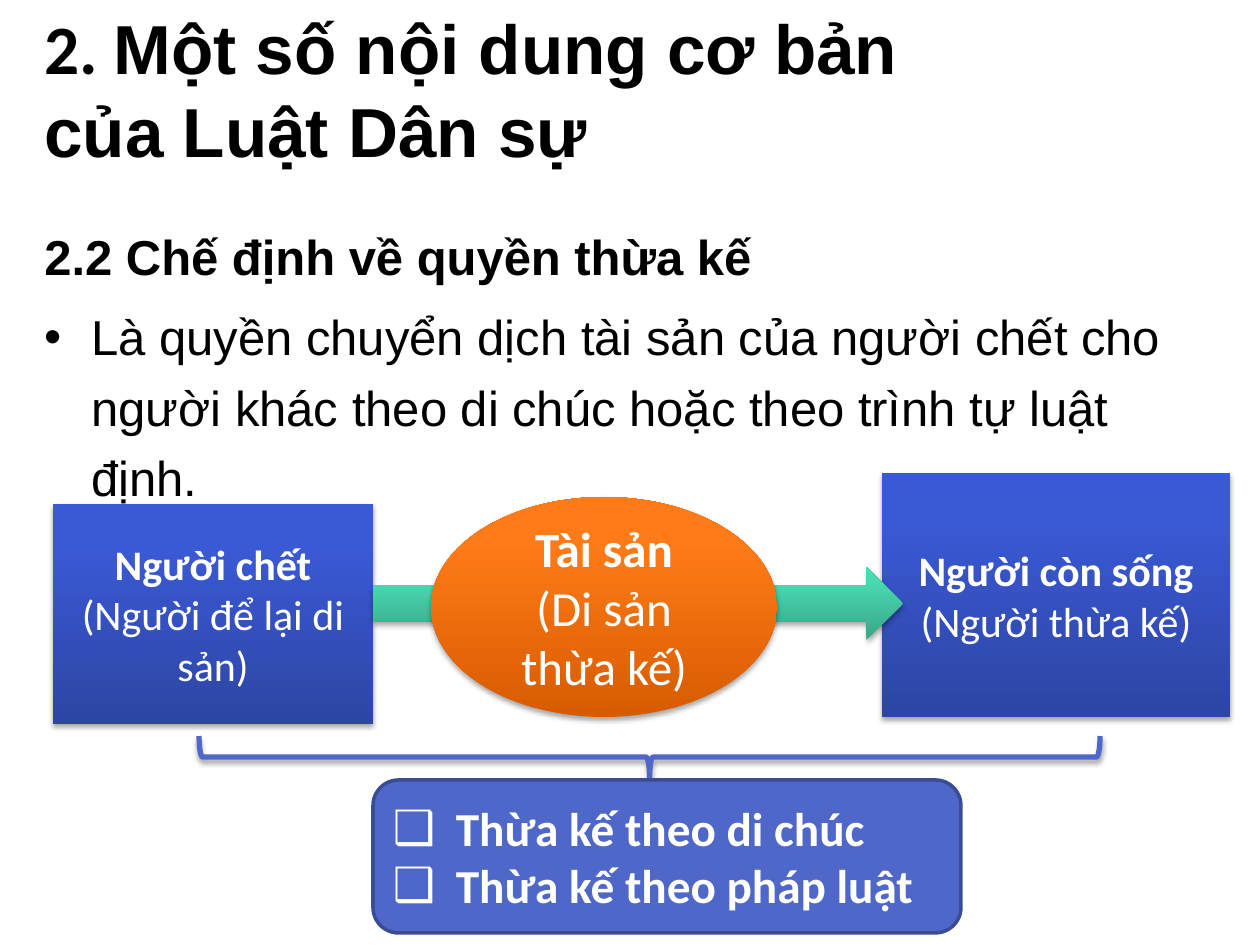
from copy import deepcopy

from lxml import etree
from pptx import Presentation
from pptx.dml.color import RGBColor
from pptx.enum.shapes import MSO_SHAPE
from pptx.enum.text import MSO_ANCHOR, PP_ALIGN
from pptx.oxml.ns import qn
from pptx.util import Pt

RECTANGLE = MSO_SHAPE.RECTANGLE
ELLIPSE = MSO_SHAPE.OVAL
ARROW = MSO_SHAPE.RIGHT_ARROW
BRACE = MSO_SHAPE.RIGHT_BRACE
ROUNDED = MSO_SHAPE.ROUNDED_RECTANGLE
TOP, MIDDLE = MSO_ANCHOR.TOP, MSO_ANCHOR.MIDDLE
LEFT, CENTER, JUSTIFY = PP_ALIGN.LEFT, PP_ALIGN.CENTER, PP_ALIGN.JUSTIFY

BLACK = RGBColor(0x00, 0x00, 0x00)
WHITE = RGBColor(0xFF, 0xFF, 0xFF)
INDIGO = RGBColor(0x4E, 0x67, 0xC8)
NAVY = RGBColor(0x3A, 0x4C, 0x94)
BLUES = [RGBColor(0x2D, 0x45, 0xA3), RGBColor(0x3A, 0x59, 0xD4), RGBColor(0x37, 0x58, 0xD7)]
GREENS = [RGBColor(0x39, 0xA6, 0x88), RGBColor(0x4A, 0xD8, 0xB1), RGBColor(0x47, 0xDC, 0xB3)]
ORANGES = [RGBColor(0xD7, 0x5C, 0x00), RGBColor(0xFF, 0x7B, 0x18), RGBColor(0xFF, 0x7C, 0x19)]
STOPS = (0, 0.8, 1)


class SlideBuilder:
    """Draws styled elements on one slide, with lengths in px."""

    EMU_PER_PX = 914400 / 126
    HEADING_FONT = "Arial"
    LABEL_FONT = "Calibri"

    def __init__(self, width, height):
        self.presentation = Presentation()
        self.presentation.slide_width = self.emu(width)
        self.presentation.slide_height = self.emu(height)
        self.slide = self.presentation.slides.add_slide(self.presentation.slide_layouts[6])

    def emu(self, px):
        return round(px * self.EMU_PER_PX)

    def text(self, shape, paragraphs, anchor=MIDDLE):
        frame = shape.text_frame
        frame.word_wrap = True
        frame.vertical_anchor = anchor
        for index, (runs, formats) in enumerate(paragraphs):
            paragraph = frame.paragraphs[0] if index == 0 else frame.add_paragraph()
            self.paragraph(paragraph, runs, **formats)

    def paragraph(self, paragraph, runs, indent=0, bullet=None, **formats):
        properties = paragraph._p.get_or_add_pPr()
        if indent:
            properties.set("marL", str(self.emu(indent)))
            properties.set("indent", str(-self.emu(indent)))
        if bullet:
            etree.SubElement(properties, qn("a:buFont"), typeface="Arial")
            etree.SubElement(properties, qn("a:buChar"), char=bullet)
        for name, value in formats.items():
            setattr(paragraph, name, value)
        for words, size, font, color, bold in runs:
            run = paragraph.add_run()
            run.text = words
            values = {"size": Pt(size), "name": font, "bold": bold}
            for name, value in values.items():
                setattr(run.font, name, value)
            run.font.color.rgb = color

    def text_box(self, box, paragraphs, anchor=TOP):
        shape = self.slide.shapes.add_textbox(*map(self.emu, box))
        self.text(shape, paragraphs, anchor)

    def shape(self, kind, box, fill=None, line=None, line_width=0, shadow=True):
        shape = self.slide.shapes.add_shape(kind, *map(self.emu, box))
        shape.shadow.inherit = False
        if isinstance(fill, list):
            self.gradient(shape, fill)
        elif fill is not None:
            shape.fill.solid()
            shape.fill.fore_color.rgb = fill
        else:
            shape.fill.background()
        if line is None:
            shape.line.fill.background()
        else:
            shape.line.color.rgb = line
            shape.line.width = Pt(line_width)
        if shadow:
            self.shadow(shape)
        return shape

    def gradient(self, shape, colors):
        shape.fill.gradient()
        shape.fill.gradient_angle = 90
        stop_list = shape._element.spPr.find(".//" + qn("a:gsLst"))
        stop_list.append(deepcopy(stop_list[-1]))
        for stop, position, color in zip(shape.fill.gradient_stops, STOPS, colors):
            stop.position = position
            stop.color.rgb = color

    def shadow(self, shape):
        effects = shape._element.spPr.find(qn("a:effectLst"))
        outer = etree.SubElement(effects, qn("a:outerShdw"), blurRad=str(Pt(3.1)),
                                 dist=str(Pt(1.8)), dir="5400000", rotWithShape="0")
        color = etree.SubElement(outer, qn("a:srgbClr"), val=str(BLACK))
        etree.SubElement(color, qn("a:alpha"), val="35000")

    def labelled(self, kind, box, fill, size, heading, note):
        shape = self.shape(kind, box, fill)
        self.text(shape, [
            ([(words, size, self.LABEL_FONT, WHITE, bold)], {"alignment": CENTER})
            for words, bold in ((heading, True), (note, False))
        ])

    def bullet_panel(self, box, items):
        shape = self.shape(ROUNDED, box, INDIGO, NAVY, 2, shadow=False)
        formats = {"alignment": JUSTIFY, "indent": 63, "bullet": "❑"}
        self.text(shape, [([(item, 27, self.LABEL_FONT, WHITE, True)], formats) for item in items])

    def brace_below(self, box):
        left, top, width, height = box
        upright = (left + (width - height) / 2, top + (height - width) / 2, height, width)
        shape = self.shape(BRACE, upright, line=INDIGO, line_width=3)
        shape.rotation = 90


def main():
    builder = SlideBuilder(1260, 945)
    heading, label = builder.HEADING_FONT, builder.LABEL_FONT
    builder.text_box((32, 9, 966, 158), [
        ([("2. ", 39.6, label, BLACK, True),
          ("Một số nội dung cơ bản của Luật Dân sự", 39.6, heading, BLACK, True)],
         {"alignment": LEFT}),
    ], MIDDLE)
    builder.text_box((32, 179, 1197, 766), [
        ([("2.2 Chế định về quyền thừa kế", 28, heading, BLACK, True)],
         {"indent": 47, "line_spacing": 1.7}),
        ([("Là quyền chuyển dịch tài sản của người chết cho người khác theo di chúc "
           "hoặc theo trình tự luật định.", 28, heading, BLACK, False)],
         {"indent": 47, "bullet": "•", "line_spacing": 1.2, "space_before": Pt(5.6)}),
    ])
    builder.labelled(RECTANGLE, (53, 504, 320, 220), BLUES, 24,
                     "Người chết", "(Người để lại di sản)")
    builder.labelled(RECTANGLE, (882, 473, 348, 244), BLUES, 24,
                     "Người còn sống", "(Người thừa kế)")
    builder.shape(ARROW, (373, 567, 530, 73), GREENS)
    builder.labelled(ELLIPSE, (431, 497, 346, 220), ORANGES, 28,
                     "Tài sản", "(Di sản thừa kế)")
    builder.brace_below((199, 736, 901, 42))
    builder.bullet_panel((373, 780, 588, 153), ["Thừa kế theo di chúc", "Thừa kế theo pháp luật"])
    builder.presentation.save("out.pptx")


if __name__ == "__main__":
    main()
